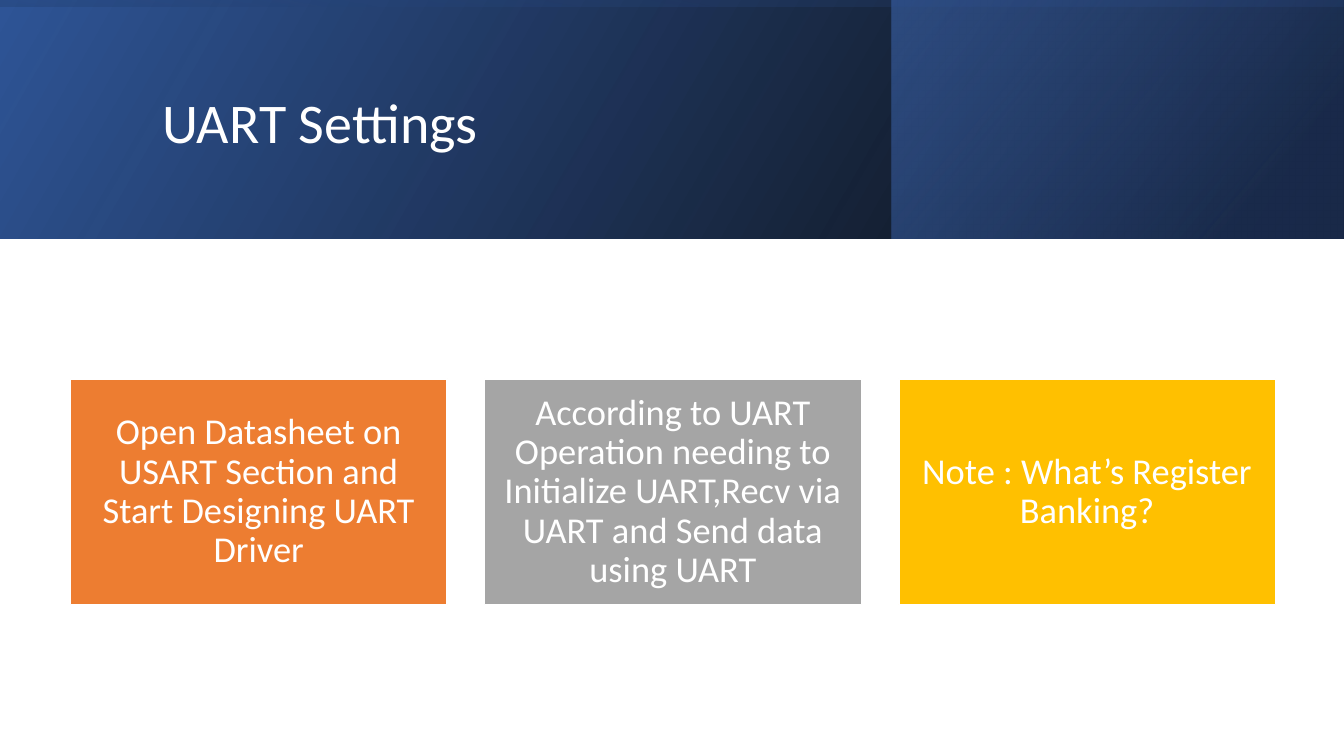
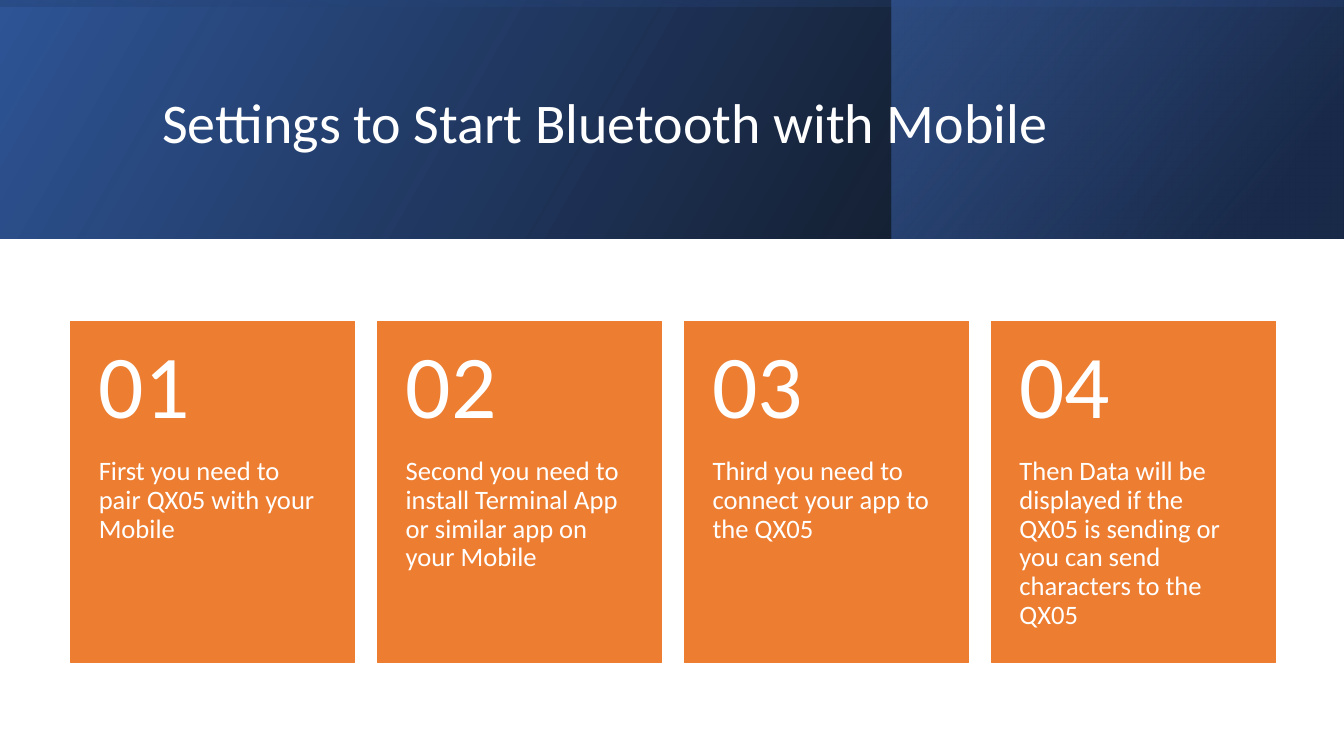
from dataclasses import dataclass
from typing import Iterator, Optional

from lxml import etree
from pptx import Presentation
from pptx import util as u
from pptx.dml import color
from pptx.enum import shapes, text
from pptx.oxml import ns


# Theme: colours and type sizes
@dataclass(frozen=True)
class Theme:
    font: str = "Calibri"
    white: str = "FFFFFF"
    black: str = "000000"
    navy: str = "203864"
    deep_blue: str = "2F5597"
    blue: str = "4472C4"
    orange: str = "ED7D31"
    grey: str = "A5A5A5"
    gold: str = "FFC000"
    title_size: int = 40
    card_size: int = 26
    number_size: int = 64
    step_size: int = 19
    line_spacing: float = 0.9


THEME = Theme()
WIDTH, HEIGHT = u.Inches(13.33), u.Inches(7.5)


# Layout: every area is given in percent of the slide
@dataclass(frozen=True)
class Area:
    left: float
    top: float
    width: float
    height: float

    def lengths(self) -> tuple[int, int, int, int]:
        return (int(WIDTH * self.left / 100), int(HEIGHT * self.top / 100),
                int(WIDTH * self.width / 100), int(HEIGHT * self.height / 100))

    def rows(self, first_share: float) -> tuple["Area", "Area"]:
        first = self.height * first_share
        return (Area(self.left, self.top, self.width, first),
                Area(self.left, self.top + first, self.width, self.height - first))


@dataclass(frozen=True)
class Stop:
    position: int
    colour: str
    opacity: int


@dataclass(frozen=True)
class Band:
    area: Area
    angle: int
    stops: tuple[Stop, Stop]
    upright: bool = False  # drawn as a tall shape turned by 270 degrees


@dataclass(frozen=True)
class TextStyle:
    size: int
    insets: tuple[float, float, float, float] = (0.1, 0.05, 0.1, 0.05)
    align: text.PP_ALIGN = text.PP_ALIGN.LEFT
    anchor: text.MSO_ANCHOR = text.MSO_ANCHOR.MIDDLE


@dataclass(frozen=True)
class Card:
    words: str
    colour: str


HEADER = Area(0, 0, 100, 31.6)
TITLE = Area(11.33, 5.07, 79.74, 22.93)
CARDS_LEFT, CARDS_WIDTH, CARDS_MIDDLE = 5.25, 89.65, 65.07

BANDS = (
    Band(HEADER, 330, (Stop(0, THEME.black, 96), Stop(100, THEME.deep_blue, 100))),
    Band(Area(66.32, 0, 33.61, HEADER.height), 320,
         (Stop(19, THEME.navy, 68), Stop(100, THEME.blue, 48))),
    Band(HEADER, 350, (Stop(23, THEME.deep_blue, 16), Stop(99, THEME.black, 45)),
         upright=True),
)

TITLE_STYLE = TextStyle(THEME.title_size)
CARD_STYLE = TextStyle(THEME.card_size, (0.11,) * 4, text.PP_ALIGN.CENTER)
NUMBER_STYLE = TextStyle(THEME.number_size, (0.28, 0.18, 0.28, 0.18))
STEP_STYLE = TextStyle(THEME.step_size, (0.28, 0, 0.28, 0.36),
                       anchor=text.MSO_ANCHOR.TOP)

# Content
UART_CARDS = (
    Card("Open Datasheet on USART Section and Start Designing UART Driver",
         THEME.orange),
    Card("According to UART Operation needing to Initialize UART,Recv via UART "
         "and Send data using UART", THEME.grey),
    Card("Note : What’s Register Banking?", THEME.gold),
)
BLUETOOTH_STEPS = (
    "First you need to pair QX05 with your Mobile",
    "Second you need to install Terminal App or similar app on your Mobile",
    "Third you need to connect your app to the QX05",
    "Then Data will be displayed if the QX05 is sending or you can send "
    "characters to the QX05",
)


def card_row(count: int, gap_share: float, aspect: float) -> Iterator[Area]:
    """Equal cards; gap and height are shares of one card's width."""
    width = CARDS_WIDTH / (count + gap_share * (count - 1))
    height = width * aspect * WIDTH / HEIGHT
    for index in range(count):
        yield Area(CARDS_LEFT + index * width * (1 + gap_share),
                   CARDS_MIDDLE - height / 2, width, height)


# Drawing
def add_rectangle(page, lengths: tuple[int, int, int, int],
                  fill: Optional[str] = None, line: Optional[str] = None):
    box = page.shapes.add_shape(shapes.MSO_SHAPE.RECTANGLE, *lengths)
    box.shadow.inherit = False
    if fill:
        box.fill.solid()
        box.fill.fore_color.rgb = color.RGBColor.from_string(fill)
    if line:
        box.line.color.rgb = color.RGBColor.from_string(line)
        box.line.width = u.Pt(1)
    else:
        box.line.fill.background()
    return box


def write(box, words: str, style: TextStyle) -> None:
    frame = box.text_frame
    frame.word_wrap = True
    frame.vertical_anchor = style.anchor
    (frame.margin_left, frame.margin_top,
     frame.margin_right, frame.margin_bottom) = map(u.Inches, style.insets)
    para = frame.paragraphs[0]
    para.text = words
    para.alignment = style.align
    para.line_spacing = THEME.line_spacing
    para.font.name = THEME.font
    para.font.size = u.Pt(style.size)
    para.font.color.rgb = color.RGBColor.from_string(THEME.white)


def add_text(page, area: Area, words: str, style: TextStyle) -> None:
    write(page.shapes.add_textbox(*area.lengths()), words, style)


def add_band(page, band: Band) -> None:
    left, top, width, height = band.area.lengths()
    if band.upright:
        shift = (width - height) // 2
        left, top, width, height = left + shift, top - shift, height, width
    box = add_rectangle(page, (left, top, width, height))
    box.rotation = 270 if band.upright else 0
    properties = box._element.spPr
    properties.find(ns.qn("a:xfrm")).set("flipH", "1")

    gradient = etree.Element(ns.qn("a:gradFill"), rotWithShape="1")
    stop_list = etree.SubElement(gradient, ns.qn("a:gsLst"))
    for stop in band.stops:
        mark = etree.SubElement(stop_list, ns.qn("a:gs"), pos=str(stop.position * 1000))
        tint = etree.SubElement(mark, ns.qn("a:srgbClr"), val=stop.colour)
        etree.SubElement(tint, ns.qn("a:alpha"), val=str(stop.opacity * 1000))
    etree.SubElement(gradient, ns.qn("a:lin"), ang=str(band.angle * 60000), scaled="0")
    properties.find(ns.qn("a:prstGeom")).addnext(gradient)


def add_page(deck, title: str):
    page = deck.slides.add_slide(deck.slide_layouts[6])
    for band in BANDS:
        add_band(page, band)
    add_text(page, TITLE, title, TITLE_STYLE)
    return page


def build_uart(deck) -> None:
    page = add_page(deck, "UART Settings")
    for card, area in zip(UART_CARDS, card_row(len(UART_CARDS), 0.1, 0.6)):
        box = add_rectangle(page, area.lengths(), card.colour, THEME.white)
        write(box, card.words, CARD_STYLE)


def build_bluetooth(deck) -> None:
    page = add_page(deck, "Settings to Start Bluetooth with Mobile")
    areas = card_row(len(BLUETOOTH_STEPS), 0.08, 1.2)
    for number, (step, area) in enumerate(zip(BLUETOOTH_STEPS, areas), start=1):
        add_rectangle(page, area.lengths(), THEME.orange, THEME.orange)
        number_area, step_area = area.rows(0.4)
        add_text(page, step_area, step, STEP_STYLE)
        add_text(page, number_area, f"{number:02d}", NUMBER_STYLE)


def main() -> None:
    deck = Presentation()
    deck.slide_width, deck.slide_height = WIDTH, HEIGHT
    build_uart(deck)
    build_bluetooth(deck)
    deck.save("out.pptx")


main()
